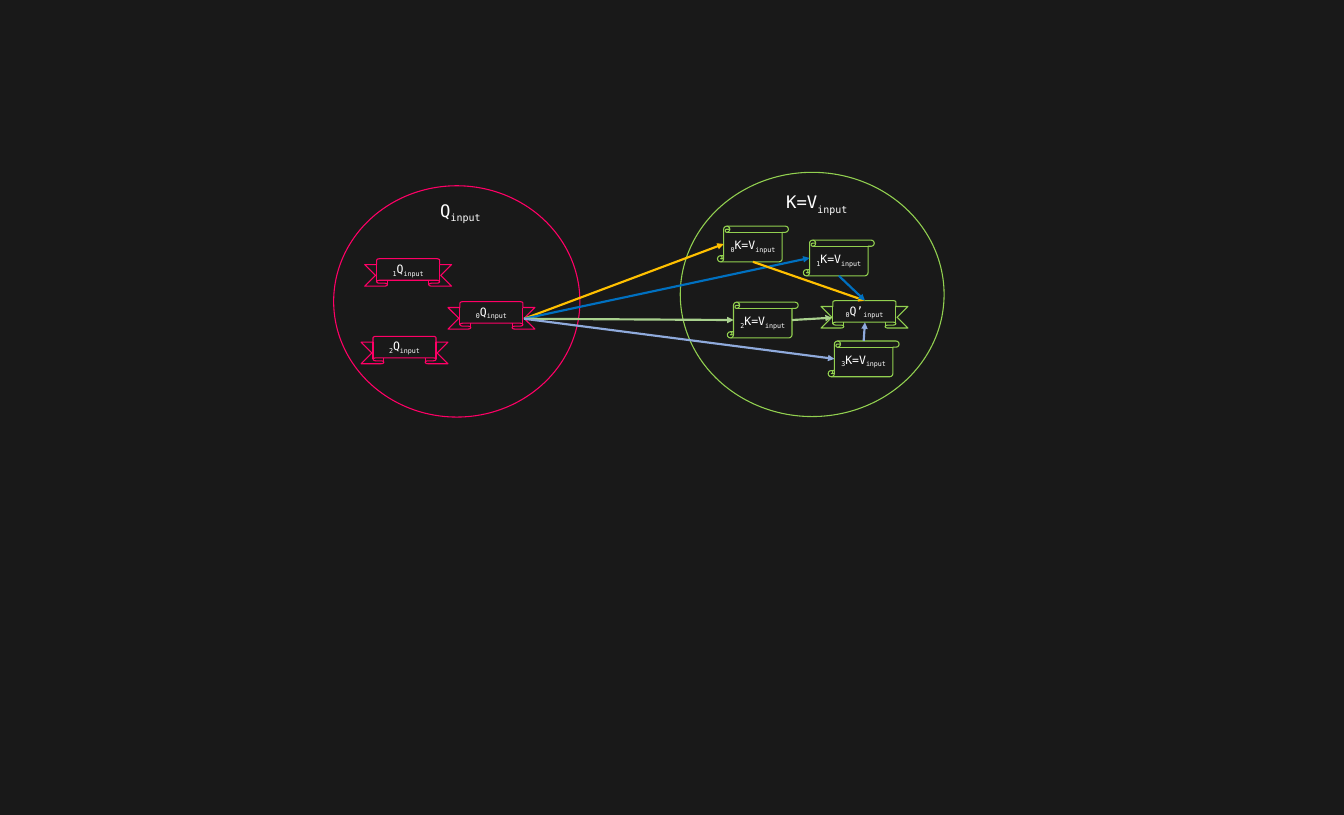
from dataclasses import dataclass

from pptx import Presentation, util as u
from pptx.dml.color import RGBColor
from pptx.enum import shapes, text
from pptx.oxml.ns import qn
from lxml import etree

COLS, ROWS = 25.98, 15.75
SCROLL = (1.37, 0.69)
RIBBON = (1.68, 0.53)


@dataclass(frozen=True)
class Theme:
    """Colours, font, type sizes and line widths."""
    back: str = "191919"
    ink: str = "FFFFFF"
    query: str = "FF0066"
    key: str = "92D050"
    flows: tuple = ("FFC000", "0070C0", "A9D18E", "8FAADC")
    font: str = "DejaVu Sans Mono"
    heading: int = 24
    label: int = 16
    outline: float = 1.5
    arrow: float = 3


T = Theme()


def grid(*cells):
    """Turn one-inch grid cells into lengths."""
    return [u.Inches(c) for c in cells]


def rgb(code):
    """Turn a hex code into a colour."""
    return RGBColor.from_string(code)


def write(shape, name, index="", size=T.label):
    """Write a name between its index and its 'input' subscript."""
    tf = shape.text_frame
    tf.word_wrap = False
    tf.auto_size = text.MSO_AUTO_SIZE.NONE
    tf.vertical_anchor = text.MSO_ANCHOR.MIDDLE
    tf.margin_left = tf.margin_right = tf.margin_top = tf.margin_bottom = 0
    p = tf.paragraphs[0]
    p.alignment = text.PP_ALIGN.CENTER
    p.space_before = p.space_after = 0
    p.line_spacing = 1.0
    for part, lowered in ((index, True), (name, False), ("input", True)):
        if part:
            r = p.add_run()
            r.text = part
            r.font.name, r.font.size, r.font.bold = T.font, u.Pt(size), False
            r.font.color.rgb = rgb(T.ink)
            if lowered:
                r.font._element.set("baseline", "-25000")


def add_outline(s, kind, box, color, adjustments=()):
    """Add a preset shape with a coloured outline."""
    sp = s.shapes.add_shape(kind, *grid(*box))
    sp.shadow.inherit = False
    sp.fill.solid()
    sp.fill.fore_color.rgb = rgb(T.back)
    sp.line.color.rgb = rgb(color)
    sp.line.width = u.Pt(T.outline)
    for i, value in enumerate(adjustments):
        sp.adjustments[i] = value
    return sp


def add_set(s, placeholder, name, oval, heading, color):
    """Add an oval set and put its heading on top."""
    add_outline(s, shapes.MSO_SHAPE.OVAL, oval, color)
    sp = s.placeholders[placeholder]
    sp.left, sp.top, sp.width, sp.height = grid(*heading)
    write(sp, name, size=T.heading)
    s.shapes._spTree.append(sp._element)


def add_ribbon(s, at, name, index, color):
    """Add a labelled ribbon for a query."""
    sp = add_outline(s, shapes.MSO_SHAPE.UP_RIBBON, (*at, *RIBBON), color, (0.214, 0.725))
    write(sp, name, index)


def add_scroll(s, at, index):
    """Add a labelled scroll for a key and value."""
    sp = add_outline(s, shapes.MSO_SHAPE.VERTICAL_SCROLL, (*at, *SCROLL), T.key, (0.173,))
    write(sp, "K=V", index)


def add_arrow(s, start, end, color):
    """Add an arrow between two grid points."""
    c = s.shapes.add_connector(shapes.MSO_CONNECTOR.STRAIGHT, *grid(*start, *end))
    c.line.color.rgb = rgb(color)
    c.line.width = u.Pt(T.arrow)
    etree.SubElement(c.line._get_or_add_ln(), qn("a:tailEnd"), type="triangle")
    etree.SubElement(c._element.spPr, qn("a:effectLst"))


def ribbon_site(at, side):
    """Find where arrows meet a ribbon."""
    dx, dy = {"left": (0.21, 0.33), "right": (1.47, 0.33),
              "top": (0.85, 0), "bottom": (0.85, 0.42)}[side]
    return at[0] + dx, at[1] + dy


def scroll_site(at, side):
    """Find where arrows meet a scroll."""
    w, h = SCROLL
    dx, dy = {"left": (0.12, h / 2), "right": (w - 0.12, h / 2),
              "top": (w / 2, 0), "bottom": (w / 2, h)}[side]
    return at[0] + dx, at[1] + dy


def main():
    """Build the query and key-value attention slide."""
    prs = Presentation()
    prs.slide_width, prs.slide_height = grid(COLS, ROWS)
    s = prs.slides.add_slide(prs.slide_layouts[4])
    s.background.fill.solid()
    s.background.fill.fore_color.rgb = rgb(T.back)

    add_set(s, 3, "K=V", (13.15, 3.33, 5.1, 4.72), (14.71, 3.62, 2.16, 0.62), T.key)
    add_set(s, 1, "Q", (6.45, 3.59, 4.76, 4.47), (8.2, 3.79, 1.4, 0.62), T.query)
    for ph in list(s.placeholders):
        if not ph.text_frame.text:
            ph._element.getparent().remove(ph._element)

    queries = [(8.66, 5.83), (7.05, 5), (6.98, 6.5)]
    keys = [(13.87, 4.37), (15.53, 4.64), (14.06, 5.84), (16.01, 6.59)]
    result = (15.87, 5.81)
    exits = [("bottom", "top"), ("bottom", "top"), ("right", "left"), ("top", "bottom")]

    for i, at in enumerate(queries):
        add_ribbon(s, at, "Q", str(i), T.query)
    for i, at in enumerate(keys):
        add_scroll(s, at, str(i))
    for at, color in zip(keys, T.flows):
        add_arrow(s, ribbon_site(queries[0], "right"), scroll_site(at, "left"), color)
    add_ribbon(s, result, "Q’", "0", T.key)
    for at, (leave, enter), color in zip(keys, exits, T.flows):
        add_arrow(s, scroll_site(at, leave), ribbon_site(result, enter), color)

    prs.save("out.pptx")


main()
